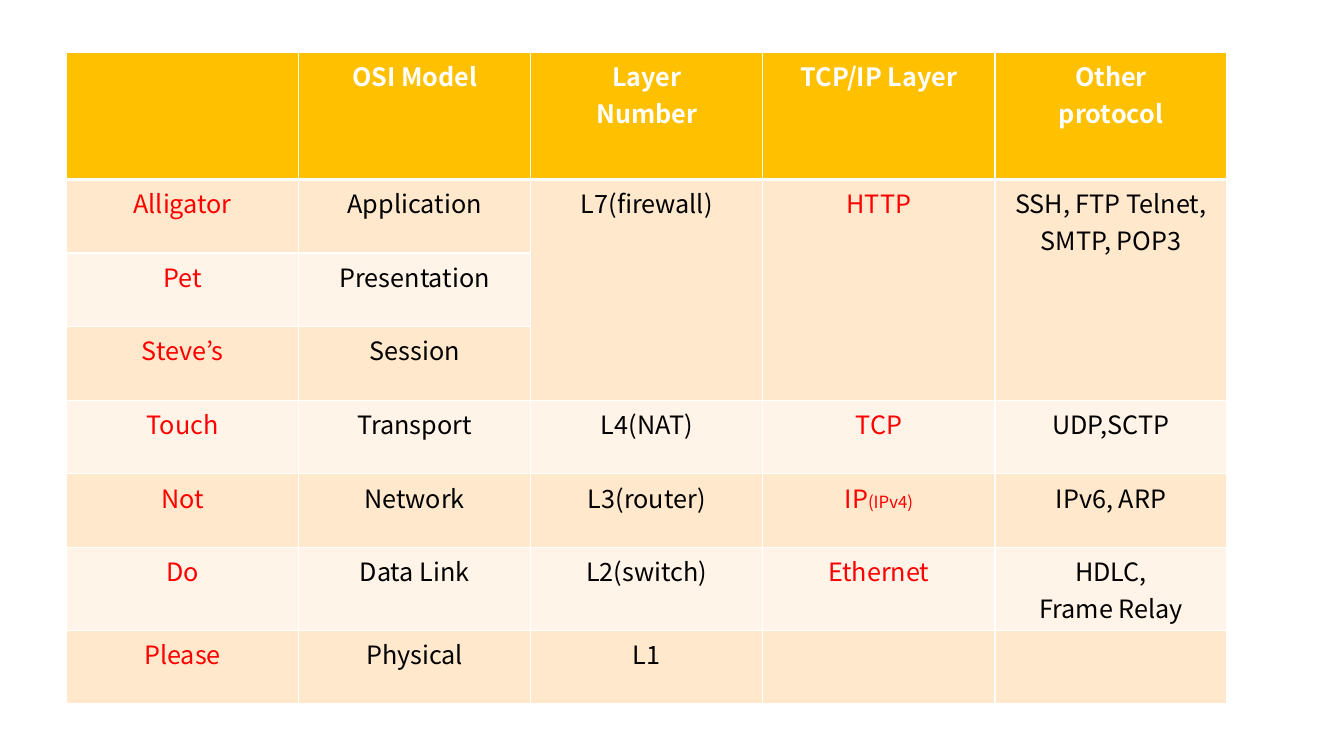
from lxml import etree
from pptx import Presentation
from pptx.dml.color import RGBColor
from pptx.enum import text
from pptx.oxml import ns
from pptx.util import Inches, Pt

WHITE = RGBColor(0xFF, 0xFF, 0xFF)
BLACK = RGBColor(0x00, 0x00, 0x00)
RED = RGBColor(0xFF, 0x00, 0x00)
AMBER = RGBColor(0xFF, 0xC0, 0x00)
PEACH = RGBColor(0xFF, 0xE8, 0xCC)
CREAM = RGBColor(0xFF, 0xF4, 0xE7)
FONT = "Noto Sans CJK KR"

HEADINGS = ["", "OSI Model", "Layer\nNumber", "TCP/IP Layer", "Other\nprotocol"]
LAYERS = [
    ["Alligator", "Application", "L7(firewall)", "HTTP", "SSH, FTP Telnet, SMTP, POP3"],
    ["Pet", "Presentation", "", "", ""],
    ["Steve’s", "Session", "", "", ""],
    ["Touch", "Transport", "L4(NAT)", "TCP", "UDP,SCTP"],
    ["Not", "Network", "L3(router)", "IP|(IPv4)", "IPv6, ARP"],
    ["Do", "Data Link", "L2(switch)", "Ethernet", "HDLC,\nFrame Relay"],
    ["Please", "Physical", "L1", "", ""],
]
MNEMONIC, NUMBER, TCP_IP, OTHER = 0, 2, 3, 4
RED_COLUMNS = (MNEMONIC, TCP_IP)


def draw_borders(cell, bottom_width):
    properties = cell._tc.get_or_add_tcPr()
    for side, width in (("L", 1), ("R", 1), ("T", 1), ("B", bottom_width)):
        edge = etree.SubElement(properties, ns.qn(f"a:ln{side}"), w=str(Pt(width)))
        fill = etree.SubElement(edge, ns.qn("a:solidFill"))
        etree.SubElement(fill, ns.qn("a:srgbClr"), val=str(WHITE))


def write_cell(cell, wording, fill, color, bold=False, bottom_width=1):
    draw_borders(cell, bottom_width)
    cell.fill.solid()
    cell.fill.fore_color.rgb = fill
    main, _, note = wording.partition("|")
    cell.text_frame.text = main
    for paragraph in cell.text_frame.paragraphs:
        paragraph.alignment = text.PP_ALIGN.CENTER
        paragraph.font.size = Pt(18)
        if note:
            paragraph.add_run().text = note
        for index, run in enumerate(paragraph.runs):
            run.font.name = FONT
            run.font.size = Pt(12 if index else 18)
            run.font.bold = bold
            run.font.color.rgb = color


def add_layer_table(slide, left, top, width, header_height, row_height):
    height = header_height + row_height * len(LAYERS)
    frame = slide.shapes.add_table(
        len(LAYERS) + 1, len(HEADINGS), left, top, width, height)
    table = frame.table
    for column in table.columns:
        column.width = width // len(HEADINGS)
    for row in table.rows:
        row.height = row_height
    table.rows[0].height = header_height

    for column, heading in enumerate(HEADINGS):
        write_cell(table.cell(0, column), heading, AMBER, WHITE, True, 3)
    for row, layer in enumerate(LAYERS, start=1):
        band = PEACH if row % 2 else CREAM
        for column, wording in enumerate(layer):
            color = RED if column in RED_COLUMNS else BLACK
            write_cell(table.cell(row, column), wording, band, color)
    for column in (NUMBER, TCP_IP, OTHER):
        table.cell(1, column).merge(table.cell(3, column))


def main():
    deck = Presentation()
    deck.slide_width, deck.slide_height = Inches(13.33), Inches(7.5)
    slide = deck.slides.add_slide(deck.slide_layouts[6])
    add_layer_table(slide, Inches(0.66), Inches(0.52), Inches(11.51),
                    Inches(1.26), Inches(0.73))
    deck.save("out.pptx")


if __name__ == "__main__":
    main()
